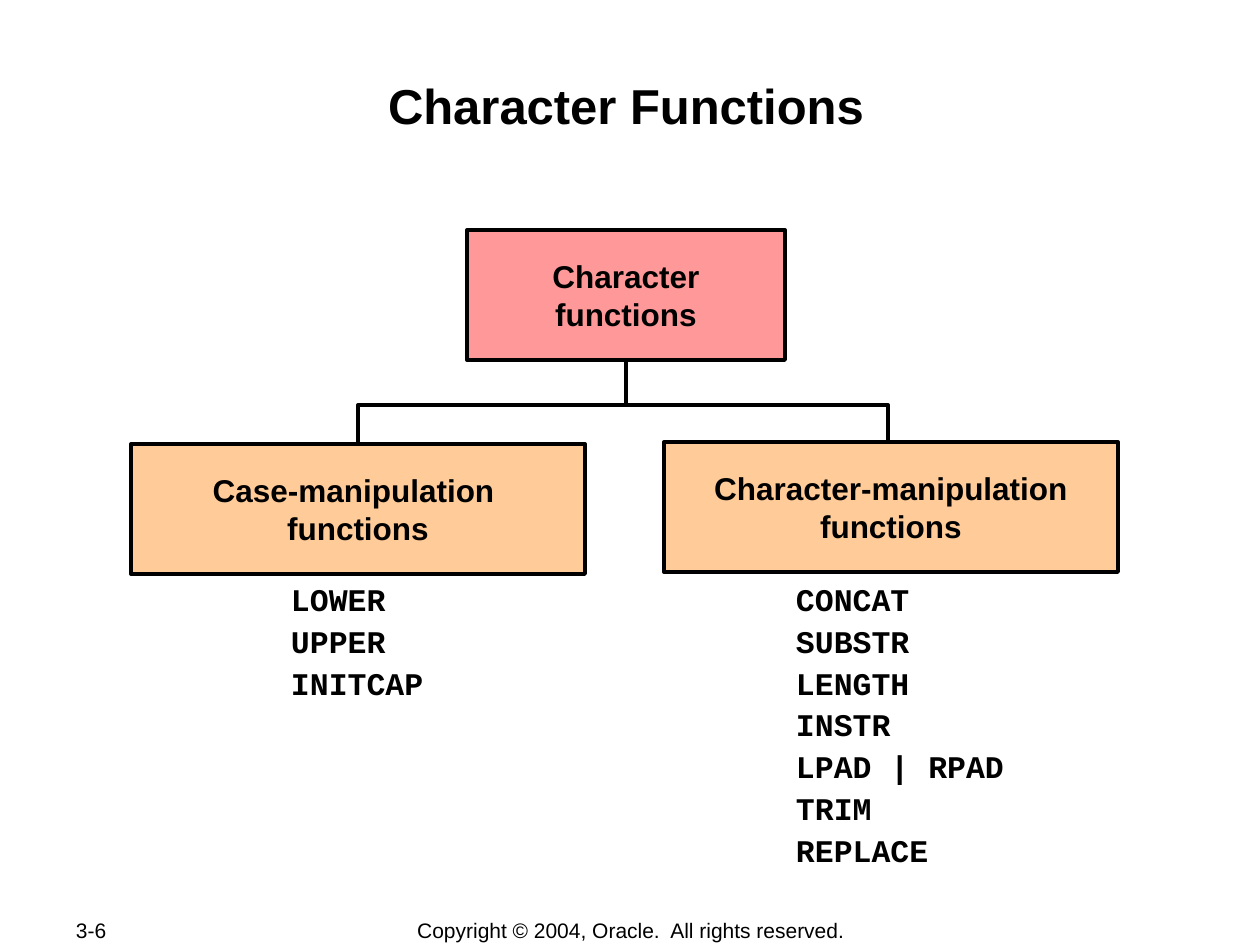
from lxml.etree import SubElement
from pptx import Presentation
from pptx.dml.color import RGBColor
from pptx.enum.shapes import MSO_CONNECTOR, MSO_SHAPE
from pptx.enum.text import MSO_ANCHOR as Anchor, PP_ALIGN as Align
from pptx.oxml.ns import qn
from pptx.util import Emu, Pt

EMU_PER_PX = 914400 // 126
COLORS = {"ink": "000000", "root": "FF9999", "branch": "FFCC99"}
BRANCH_SIZE = (454, 130)
LISTS = [
    ((278, 584, 170, 131), ["LOWER", "UPPER", "INITCAP"]),
    ((783, 584, 245, 299),
     ["CONCAT", "SUBSTR", "LENGTH", "INSTR", "LPAD | RPAD", "TRIM", "REPLACE"]),
]


def px(value):
    return Emu(value * EMU_PER_PX)


def color(name):
    return RGBColor.from_string(COLORS[name])


def style_line(line):
    line.color.rgb = color("ink")
    line.width = Pt(2.25)


def write(shape, lines, size, font="Arial", bold=True, align=Align.CENTER,
          anchor=Anchor.MIDDLE, gap=None, spacing=None, wrap=True):
    """Fill a shape with one paragraph per line; gap goes between paragraphs."""
    frame = shape.text_frame
    frame.word_wrap = wrap
    frame.vertical_anchor = anchor
    frame.margin_left = frame.margin_right = px(13)
    frame.margin_top = frame.margin_bottom = px(0)
    for index, text in enumerate(lines):
        para = frame.paragraphs[0] if index == 0 else frame.add_paragraph()
        para.add_run().text = text
        para.alignment = align
        para.line_spacing = spacing
        if index and gap:
            para.space_before = Pt(gap)
        para.font.name = font
        para.font.size = Pt(size)
        para.font.bold = bold
        para.font.color.rgb = color("ink")


def add_text(page, place, lines, size, **style):
    box = page.shapes.add_textbox(*map(px, place))
    write(box, lines, size, **style)


def add_node(page, place, fill, lines):
    node = page.shapes.add_shape(MSO_SHAPE.RECTANGLE, *map(px, place))
    node.shadow.inherit = False
    node.fill.solid()
    node.fill.fore_color.rgb = color(fill)
    style_line(node.line)
    write(node, lines, 18, wrap=False)
    return node


def add_stem(page, node, x, top, bottom):
    """Draw a vertical line down from the bottom of a node."""
    stem = page.shapes.add_connector(
        MSO_CONNECTOR.STRAIGHT, px(x), px(top), px(x), px(bottom))
    stem.begin_connect(node, 2)
    style_line(stem.line)
    SubElement(stem._element.spPr, qn("a:effectLst"))


def add_fork(page, left, right, top, bottom):
    builder = page.shapes.build_freeform(left, bottom, scale=EMU_PER_PX)
    builder.add_line_segments(
        [(left, top), (right, top), (right, bottom)], close=False)
    fork = builder.convert_to_shape()
    fork.shadow.inherit = False
    fork.fill.background()
    style_line(fork.line)


def main():
    deck = Presentation()
    deck.slide_width, deck.slide_height = px(1260), px(945)
    page = deck.slides.add_slide(deck.slide_layouts[6])

    add_text(page, (63, 917, 134, 26), ["3-6"], 12, bold=False, align=Align.LEFT)
    add_text(page, (348, 917, 566, 26),
             ["Copyright © 2004, Oracle.  All rights reserved."], 12, bold=False)
    add_text(page, (122, 76, 1008, 115), ["Character Functions"], 28,
             anchor=Anchor.TOP)

    root = add_node(page, (467, 230, 318, 130), "root", ["Character", "functions"])
    for place, names in LISTS:
        add_text(page, place, names, 18, font="Courier New", align=Align.LEFT,
                 anchor=Anchor.TOP, gap=4.5, spacing=0.9)

    add_stem(page, root, 626, 360, 405)
    add_fork(page, 358, 888, 405, 474)
    add_node(page, (131, 444, *BRANCH_SIZE), "branch",
             ["Case-manipulation ", "functions"])
    add_node(page, (664, 442, *BRANCH_SIZE), "branch",
             ["Character-manipulation", "functions"])
    deck.save("out.pptx")


if __name__ == "__main__":
    main()
